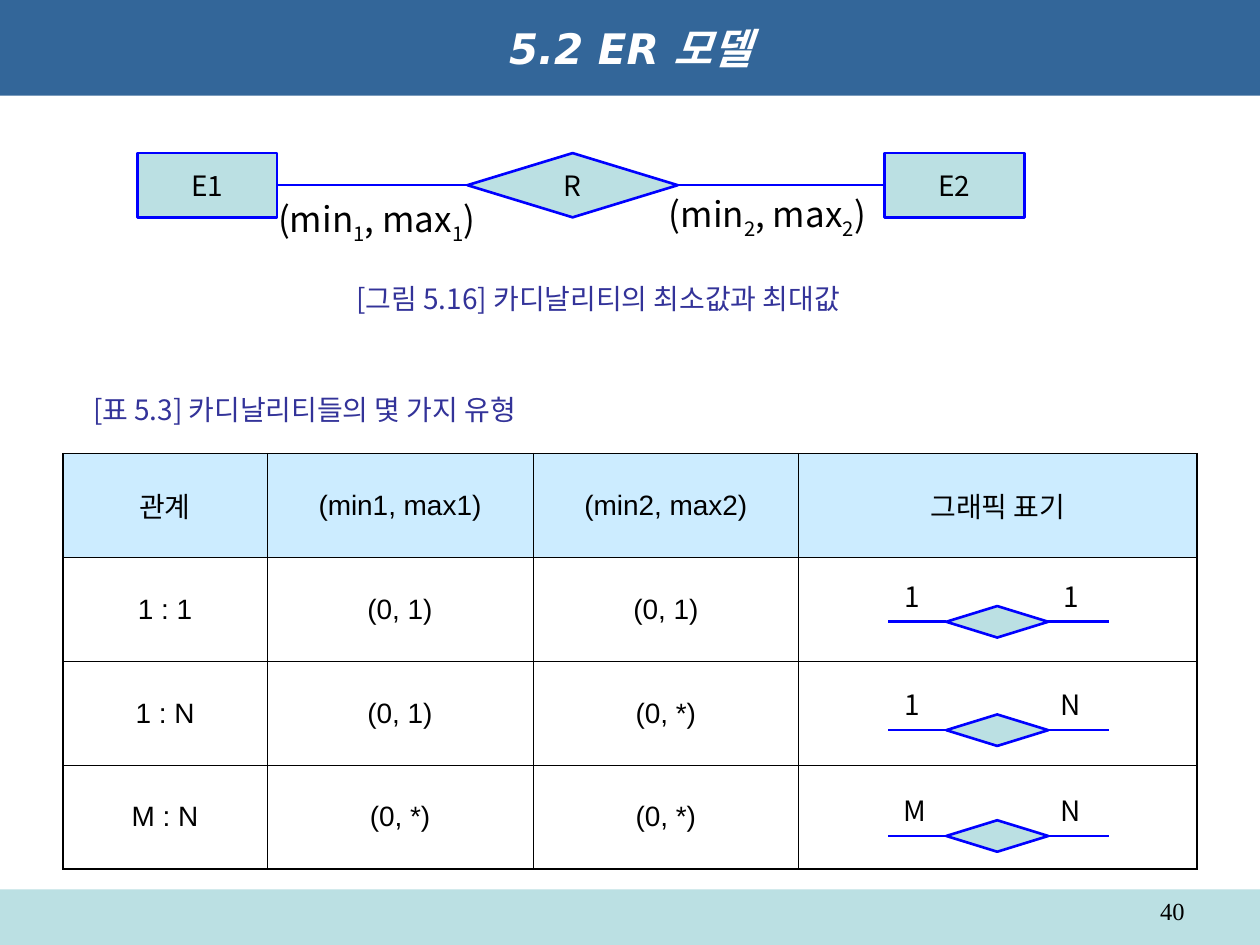
from lxml.etree import SubElement
from pptx import Presentation
from pptx.dml.color import RGBColor
from pptx.enum.shapes import MSO_CONNECTOR, MSO_SHAPE
from pptx.enum.text import MSO_ANCHOR, MSO_AUTO_SIZE, PP_ALIGN
from pptx.oxml.ns import qn
from pptx.util import Inches, Pt

NAVY = RGBColor(0x33, 0x66, 0x99)
TEAL = RGBColor(0xBB, 0xE0, 0xE3)
BLUE = RGBColor(0x00, 0x00, 0xFF)
INDIGO = RGBColor(0x33, 0x33, 0x99)
SKY = RGBColor(0xCC, 0xEC, 0xFF)
BLACK = RGBColor(0, 0, 0)
WHITE = RGBColor(0xFF, 0xFF, 0xFF)
LATIN = "Noto Sans CJK JP"
HANGUL = "Noto Sans CJK KR"
COLS, ROWS = 100, 75
THIN, THICK = 0.45, 1.08


class Board:
    def __init__(self, deck):
        self.deck = deck
        self.slide = deck.slides.add_slide(deck.slide_layouts[5])
        self.shapes = self.slide.shapes

    def x(self, col):
        return round(self.deck.slide_width * col / COLS)

    def y(self, row):
        return round(self.deck.slide_height * row / ROWS)

    def area(self, col, row, wide, high):
        return self.x(col), self.y(row), self.x(wide), self.y(high)

    def run(self, para, text, size=16, font=LATIN, color=BLACK, base=0):
        run = para.add_run()
        run.text = text
        run.font.size = Pt(size)
        run.font.name = font
        run.font.color.rgb = color
        props = run._r.get_or_add_rPr()
        SubElement(props, qn("a:ea")).set("typeface", HANGUL)
        if base:
            props.set("baseline", str(base * 1000))
        return run

    def title(self, text):
        head = self.shapes.title
        head.left, head.top, head.width, head.height = self.area(0, 0, COLS, 7.6)
        head.fill.solid()
        head.fill.fore_color.rgb = NAVY
        frame = head.text_frame
        frame.auto_size = MSO_AUTO_SIZE.NONE
        frame.vertical_anchor = MSO_ANCHOR.MIDDLE
        para = frame.paragraphs[0]
        para.alignment = PP_ALIGN.CENTER
        run = self.run(para, text, 24, "DejaVu Sans", WHITE)
        run.font.bold = run.font.italic = True

    def shape(self, kind, place, text="", line=BLUE):
        shape = self.shapes.add_shape(kind, *self.area(*place))
        shape.shadow.inherit = False
        shape.fill.solid()
        shape.fill.fore_color.rgb = TEAL
        if line:
            shape.line.color.rgb = line
            shape.line.width = Pt(1.5)
        else:
            shape.line.fill.background()
        if text:
            frame = shape.text_frame
            frame.word_wrap = False
            frame.vertical_anchor = MSO_ANCHOR.MIDDLE
            para = frame.paragraphs[0]
            para.alignment = PP_ALIGN.CENTER
            self.run(para, text)
        return shape

    def text(self, place, parts, align=PP_ALIGN.CENTER, anchor=MSO_ANCHOR.TOP,
             wrap=False, **style):
        frame = self.shapes.add_textbox(*self.area(*place)).text_frame
        frame.word_wrap = wrap
        if not wrap:
            frame.auto_size = MSO_AUTO_SIZE.SHAPE_TO_FIT_TEXT
        frame.vertical_anchor = anchor
        para = frame.paragraphs[0]
        para.alignment = align
        for text, base in parts:
            self.run(para, text, base=base, **style)

    def label(self, place, text):
        self.text(place, [(text, 0)])

    def range(self, place, mark):
        parts = [("(min", 0), (mark, -25), (", max", 0), (mark, -25), (")", 0)]
        self.text(place, parts, size=20)

    def caption(self, place, text):
        self.text(place, [(text, 0)], PP_ALIGN.LEFT, MSO_ANCHOR.MIDDLE,
                  font=HANGUL, color=INDIGO)

    def link(self, start, stop, begin=None, end=None):
        spots = [self.x(start[0]), self.y(start[1]), self.x(stop[0]), self.y(stop[1])]
        line = self.shapes.add_connector(MSO_CONNECTOR.STRAIGHT, *spots)
        line.line.color.rgb = BLUE
        line.line.width = Pt(1.5)
        SubElement(line._element.spPr, qn("a:effectLst"))
        if begin:
            line.begin_connect(begin, 3)
        if end:
            line.end_connect(end, 1)

    def table(self, place, widths, data):
        rows, cols = len(data), len(widths)
        grid = self.shapes.add_table(rows, cols, *self.area(*place)).table
        grid.horz_banding = grid.first_row = False
        for col, wide in zip(grid.columns, widths):
            col.width = self.x(wide)
        for r, words in enumerate(data):
            grid.rows[r].height = self.y(place[3] / rows)
            for c, word in enumerate(words):
                cell = grid.cell(r, c)
                self.edge(cell, L=c == 0, R=c == cols - 1, T=r == 0, B=r == rows - 1)
                if r == 0:
                    cell.fill.solid()
                    cell.fill.fore_color.rgb = SKY
                else:
                    cell.fill.background()
                cell.vertical_anchor = MSO_ANCHOR.MIDDLE
                if word:
                    para = cell.text_frame.paragraphs[0]
                    para.alignment = PP_ALIGN.CENTER
                    self.run(para, word, font="Arial")

    def edge(self, cell, **sides):
        props = cell._tc.get_or_add_tcPr()
        for side, outer in sides.items():
            line = SubElement(props, qn("a:ln" + side))
            line.set("w", str(Pt(THICK if outer else THIN)))
            fill = SubElement(line, qn("a:solidFill"))
            SubElement(fill, qn("a:srgbClr")).set("val", str(BLACK))

    def sign(self, left, row, first, last):
        gem = self.shape(MSO_SHAPE.DIAMOND, (left + 4.6, row, 8.1, 2.5))
        mid = row + 1.25
        self.link((left, mid), (left + 4.6, mid), end=gem)
        self.link((left + 12.7, mid), (left + 17.5, mid), begin=gem)
        self.label((left + 0.2, row - 2.6, 3.4, 3.7), first)
        self.label((left + 12.7, row - 2.6, 3.6, 3.7), last)


def main():
    deck = Presentation()
    deck.slide_width, deck.slide_height = Inches(10), Inches(7.5)
    board = Board(deck)
    board.shape(MSO_SHAPE.RECTANGLE, (0, 70.6, COLS, 4.4), line=None)
    board.text((71.7, 70.6, 23.3, 2.9), [("40", 0)], PP_ALIGN.RIGHT,
               wrap=True, size=14, font="Times New Roman")
    board.title("5.2 ER 모델")

    left = board.shape(MSO_SHAPE.RECTANGLE, (10.9, 12.15, 11.1, 5.1), "E1")
    right = board.shape(MSO_SHAPE.RECTANGLE, (70.2, 12.15, 11.1, 5.1), "E2")
    gem = board.shape(MSO_SHAPE.DIAMOND, (37.1, 12.15, 16.7, 5.1), "R")
    board.link((22, 14.7), (37.1, 14.7), left, gem)
    board.link((53.8, 14.7), (70.2, 14.7), gem, right)
    board.range((20.9, 15.2, 18, 4.8), "1")
    board.range((51.9, 14.8, 18, 4.8), "2")
    board.caption((27.3, 21.8, 44.2, 3.7), "[그림 5.16] 카디날리티의 최소값과 최대값")

    board.table((5, 36, 90, 33), (16.2, 21.1, 21.1, 31.6), [
        ("관계", "(min1, max1)", "(min2, max2)", "그래픽 표기"),
        ("1 : 1", "(0, 1)", "(0, 1)", ""),
        ("1 : N", "(0, 1)", "(0, *)", ""),
        ("M : N", "(0, *)", "(0, *)", ""),
    ])
    for row, first, last in ((48.1, "1", "1"), (56.7, "1", "N"), (65.1, "M", "N")):
        board.sign(70.5, row, first, last)
    board.caption((6.4, 30.6, 39.4, 3.7), "[표 5.3] 카디날리티들의 몇 가지 유형")
    deck.save("out.pptx")


if __name__ == "__main__":
    main()
